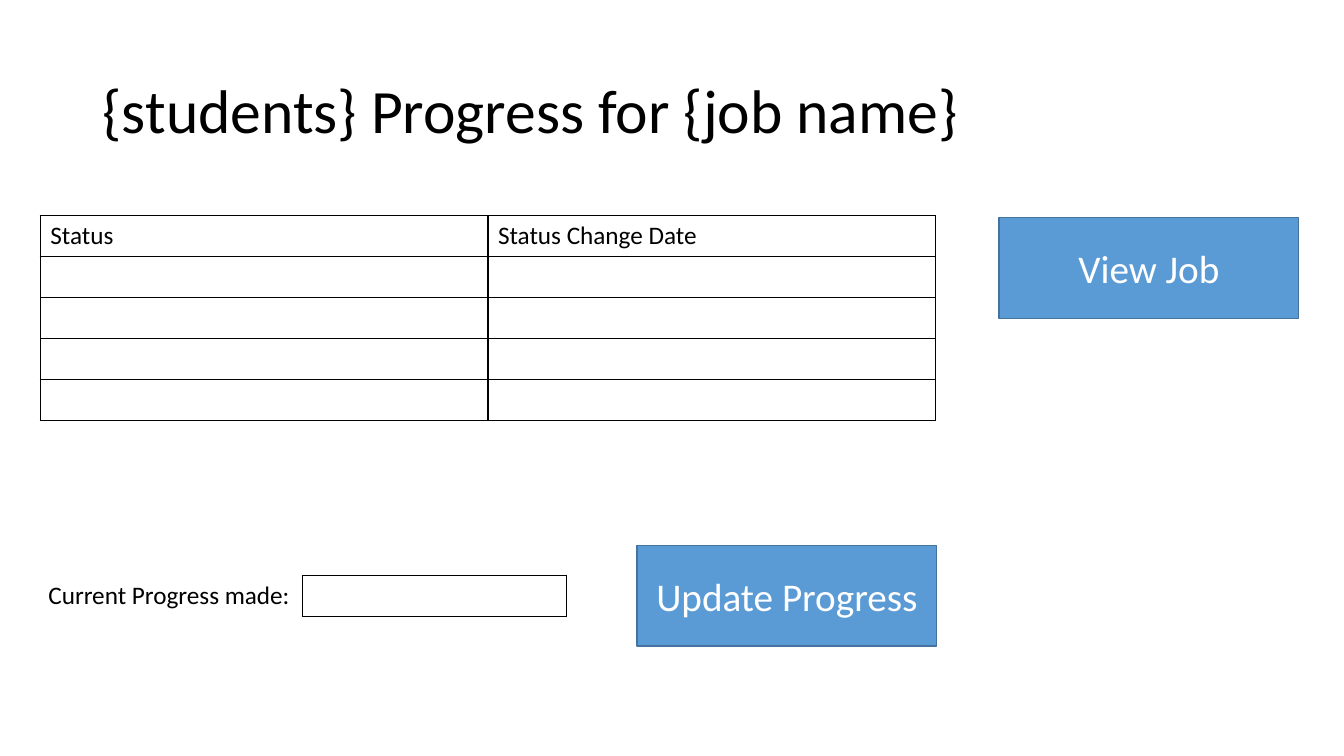
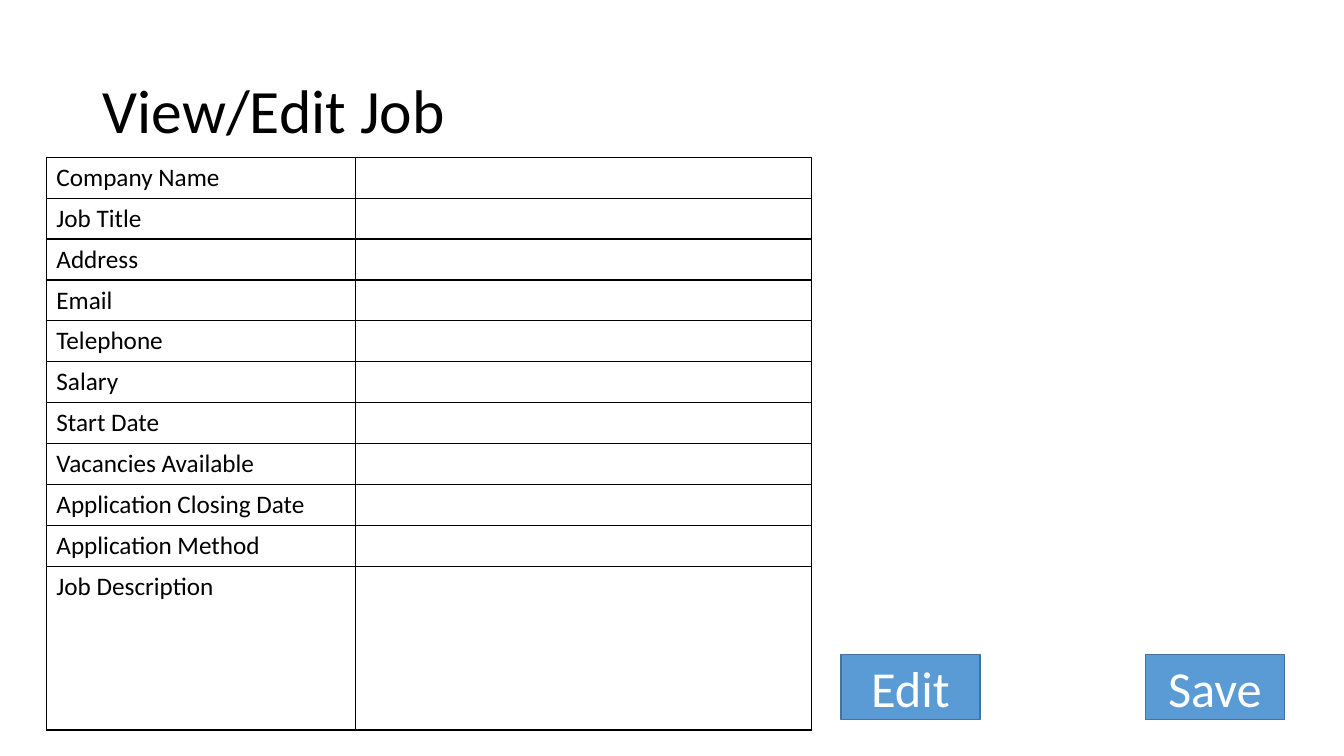
import pptx
import pptx.util
import pptx.dml.color
import pptx.enum.shapes
import pptx.enum.text
from lxml import etree

Inches, Pt = pptx.util.Inches, pptx.util.Pt
ALIGN, ANCHOR = pptx.enum.text.PP_ALIGN, pptx.enum.text.MSO_ANCHOR
color = pptx.dml.color.RGBColor.from_string
FONT, INK, PAPER = "Calibri", "000000", "FFFFFF"
BLUE, EDGE = "5B9BD5", "43739E"
ROW = Inches(2.03) // 5
BOXED = ("LRTB", "LRTB")
NS = "http://schemas.openxmlformats.org/drawingml/2006/main"


def write(frame, text, size, ink=INK):
    """Set one paragraph of styled text and return it."""
    frame.text = text
    para = frame.paragraphs[0]
    for run in para.runs:
        run.font.name = FONT
        run.font.size = Pt(size)
        run.font.color.rgb = color(ink)
    return para


def border(cell, sides):
    props = cell._tc.get_or_add_tcPr()
    for side in sides:
        line = etree.SubElement(props, f"{{{NS}}}ln{side}", w=str(Pt(1)))
        fill = etree.SubElement(line, f"{{{NS}}}solidFill")
        etree.SubElement(fill, f"{{{NS}}}srgbClr", val=INK)


fields = ["Company Name", "Job Title", "Address", "Email", "Telephone", "Salary",
          "Start Date", "Vacancies Available", "Application Closing Date",
          "Application Method", "Job Description"]

# Tables: left, top, column widths, rows of text, borders by column, last row's height in rows
# Buttons: text, left, top, width, height, text size
pages = [
    ("{students} Progress for {job name}",
     [(0.4, 2.14, (4.44, 4.44),
       [("Status", "Status Change Date")] + [("", "")] * 4, BOXED, 1),
      (0.38, 5.71, (2.62, 2.62), [("Current Progress made:", "")], ("R", "LRTB"), 1)],
     [("View Job", 9.91, 2.16, 2.97, 1, 28),
      ("Update Progress", 6.32, 5.41, 2.97, 1, 28)]),
    ("View/Edit Job",
     [(0.46, 1.56, (3.07, 4.52), [(name, "") for name in fields], BOXED, 4)],
     [("Save", 11.36, 6.49, 1.38, 0.65, 36),
      ("Edit", 8.34, 6.49, 1.38, 0.65, 36)]),
]

deck = pptx.Presentation()
deck.slide_width, deck.slide_height = Inches(13.33), Inches(7.5)

for title, tables, buttons in pages:
    slide = deck.slides.add_slide(deck.slide_layouts[6])
    shapes = slide.shapes

    box = shapes.add_textbox(Inches(0.92), Inches(0.4), Inches(11.5), Inches(1.45))
    box.text_frame.word_wrap = True
    box.text_frame.vertical_anchor = ANCHOR.MIDDLE
    write(box.text_frame, title, 44).line_spacing = 0.9

    for left, top, widths, rows, sides, last in tables:
        table = shapes.add_table(len(rows), len(widths), Inches(left), Inches(top),
                                 Inches(sum(widths)), ROW * (len(rows) - 1 + last)).table
        table.first_row = table.horz_banding = False
        for col, width in zip(table.columns, widths):
            col.width = Inches(width)
        for row, texts in zip(table.rows, rows):
            row.height = ROW
            for cell, text, edges in zip(row.cells, texts, sides):
                border(cell, edges)
                cell.fill.background()
                if text:
                    write(cell.text_frame, text, 18)
        table.rows[len(rows) - 1].height = ROW * last

    for text, left, top, width, height, size in buttons:
        button = shapes.add_shape(pptx.enum.shapes.MSO_SHAPE.RECTANGLE, Inches(left),
                                  Inches(top), Inches(width), Inches(height))
        button.shadow.inherit = False
        button.fill.solid()
        button.fill.fore_color.rgb = color(BLUE)
        button.line.color.rgb = color(EDGE)
        button.line.width = Pt(1)
        button.text_frame.vertical_anchor = ANCHOR.MIDDLE
        write(button.text_frame, text, size, PAPER).alignment = ALIGN.CENTER

deck.save("out.pptx")
